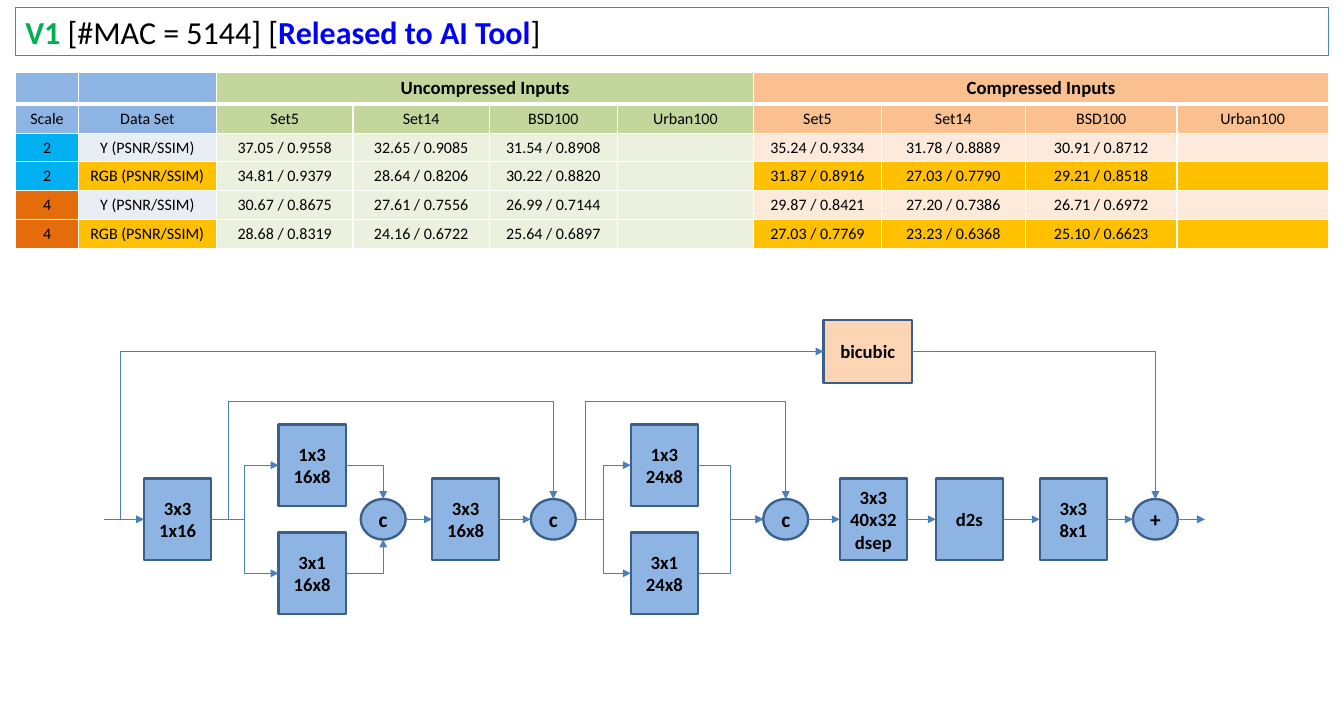
from lxml.etree import SubElement
from pptx import Presentation
from pptx.dml.color import RGBColor
from pptx.enum.shapes import MSO_CONNECTOR, MSO_SHAPE
from pptx.enum.text import MSO_ANCHOR, PP_ALIGN
from pptx.oxml.ns import qn
from pptx.util import Cm, Pt

BLACK = RGBColor(0x00, 0x00, 0x00)
GREEN = RGBColor(0x00, 0xB0, 0x50)
PURE_BLUE = RGBColor(0x00, 0x00, 0xFF)
FRAME_BLUE = RGBColor(0x4F, 0x81, 0xBD)
WIRE_BLUE = RGBColor(0x4B, 0x7E, 0xBC)
EDGE_BLUE = RGBColor(0x3A, 0x5F, 0x8C)
BLOCK_BLUE = RGBColor(0x8E, 0xB4, 0xE3)
PEACH = RGBColor(0xFC, 0xD5, 0xB5)
OLIVE = RGBColor(0xC3, 0xD6, 0x9B)
PALE_OLIVE = RGBColor(0xEB, 0xF1, 0xDE)
ORANGE = RGBColor(0xFA, 0xC0, 0x90)
PALE_ORANGE = RGBColor(0xFD, 0xEA, 0xDA)
PALE_BLUE = RGBColor(0xE9, 0xED, 0xF4)
GOLD = RGBColor(0xFF, 0xC0, 0x00)
SKY = RGBColor(0x00, 0xB0, 0xF0)
RUST = RGBColor(0xE4, 0x6C, 0x0A)

SIDES = {"top": 0, "left": 1, "bottom": 2, "right": 3}


class Slide:
    """Holds the style and the current slide."""

    font = "Calibri"

    def __init__(self, deck):
        """Add a blank page to the deck."""
        self.page = deck.slides.add_slide(deck.slide_layouts[6])

    def style(self, span, size, color=BLACK, bold=False):
        """Format one run."""
        span.font.name, span.font.size = self.font, Pt(size)
        span.font.color.rgb, span.font.bold = color, bold

    def center(self, text_frame, size, bold):
        """Centre and format all the text of a frame."""
        for para in text_frame.paragraphs:
            para.alignment = PP_ALIGN.CENTER
            for span in para.runs:
                self.style(span, size, bold=bold)

    def title(self, left, top, width, height, parts):
        """Add a framed line of text from (text, colour, bold) parts."""
        box = self.page.shapes.add_textbox(Cm(left), Cm(top), Cm(width), Cm(height))
        box.text_frame.word_wrap = True
        box.line.color.rgb, box.line.width = FRAME_BLUE, Pt(0.75)
        for text, color, bold in parts:
            span = box.text_frame.paragraphs[0].add_run()
            span.text = text
            self.style(span, 24, color, bold)

    def node(self, x, y, text, size=(1.78, 2.16), fill=BLOCK_BLUE,
             kind=MSO_SHAPE.RECTANGLE, points=14):
        """Add a labelled shape centred on x, y."""
        width, height = size
        box = self.page.shapes.add_shape(kind, Cm(x - width / 2), Cm(y - height / 2),
                                         Cm(width), Cm(height))
        box.shadow.inherit = False
        box.fill.solid()
        box.fill.fore_color.rgb = fill
        box.line.color.rgb, box.line.width = EDGE_BLUE, Pt(1.75)
        box.text_frame.text = text
        box.text_frame.vertical_anchor = MSO_ANCHOR.MIDDLE
        self.center(box.text_frame, points, True)
        return box

    def joint(self, x, y, text):
        """Add a small circle where paths meet."""
        return self.node(x, y, text, (1.19, 1.07), kind=MSO_SHAPE.OVAL, points=16)

    def arrow(self, start=(0, 0), finish=(0, 0), kind=MSO_CONNECTOR.STRAIGHT):
        """Add a connector with an arrowhead at its end."""
        wire = self.page.shapes.add_connector(kind, *map(Cm, start + finish))
        wire.line.color.rgb, wire.line.width = WIRE_BLUE, Pt(0.75)
        SubElement(wire.line._get_or_add_ln(), qn("a:tailEnd"), type="triangle")
        SubElement(wire._element.spPr, qn("a:effectLst"))
        return wire

    def link(self, source, target, leave="right", enter="left", preset=None, bend=()):
        """Join two nodes; bend gives the x and y of the turns."""
        wire = self.arrow(kind=MSO_CONNECTOR.ELBOW if preset else MSO_CONNECTOR.STRAIGHT)
        wire.begin_connect(source, SIDES[leave])
        wire.end_connect(target, SIDES[enter])
        for tag, node, side in (("a:stCxn", source, leave), ("a:endCxn", target, enter)):
            step = 2 if node.auto_shape_type == MSO_SHAPE.OVAL else 1
            next(wire._element.iter(qn(tag))).set("idx", str(SIDES[side] * step))
        if preset:
            geometry = wire._element.spPr.find(qn("a:prstGeom"))
            geometry.set("prst", preset)
            spans = ((wire.begin_x, wire.end_x), (wire.begin_y, wire.end_y))
            for number, (turn, (first, last)) in enumerate(zip(bend, spans), 1):
                share = round((Cm(turn) - first) / (last - first) * 100000)
                SubElement(geometry.find(qn("a:avLst")), qn("a:gd"),
                           name=f"adj{number}", fmla=f"val {share}")

    def cell(self, cell, text, fill, size=12, bold=False, top=1, bottom=1):
        """Fill one table cell and draw its white borders."""
        cell.text_frame.text = text
        cell.vertical_anchor = MSO_ANCHOR.MIDDLE
        self.center(cell.text_frame, size, bold)
        if not text:
            SubElement(cell.text_frame.paragraphs[0]._p, qn("a:endParaRPr"), sz=str(size * 100))
        properties = cell._tc.get_or_add_tcPr()
        for side, points in (("L", 1), ("R", 1), ("T", top), ("B", bottom)):
            line = SubElement(properties, qn(f"a:ln{side}"), w=str(Pt(points)))
            SubElement(SubElement(line, qn("a:solidFill")), qn("a:srgbClr"), val="FFFFFF")
        cell.fill.solid()
        cell.fill.fore_color.rgb = fill

    def table(self, left, top, widths, height, rows, fills):
        """Add the results table with a heading over each group of four columns."""
        grid = self.page.shapes.add_table(len(rows), len(widths), Cm(left), Cm(top),
                                          Cm(sum(widths)), Cm(height * len(rows))).table
        for column, width in zip(grid.columns, widths):
            column.width = Cm(width)
        for r, (texts, colors) in enumerate(zip(rows, fills)):
            for c, (text, color) in enumerate(zip(texts, colors)):
                self.cell(grid.cell(r, c), text, color, 14 if r == 0 else 12, r == 0,
                          top=3 if r == 1 else 1, bottom=3 if r == 0 else 1)
        for c in (2, 6):
            grid.cell(0, c).merge(grid.cell(0, c + 3))


deck = Presentation()
deck.slide_width, deck.slide_height = Cm(35.56), Cm(19.05)
slide = Slide(deck)

slide.title(0.42, 0.21, 34.72, 1.27, [
    ("V1", GREEN, True), (" [#MAC = 5144] [", BLACK, False),
    ("Released to AI Tool", PURE_BLUE, True), ("]", BLACK, False)])

# Results table
sets = ["Set5", "Set14", "BSD100", "Urban100"]
rows = [
    ["", "", "Uncompressed Inputs", "", "", "", "Compressed Inputs", "", "", ""],
    ["Scale", "Data Set"] + sets * 2,
    ["2", "Y (PSNR/SSIM)", "37.05 / 0.9558", "32.65 / 0.9085", "31.54 / 0.8908", "",
     "35.24 / 0.9334", "31.78 / 0.8889", "30.91 / 0.8712", ""],
    ["2", "RGB (PSNR/SSIM)", "34.81 / 0.9379", "28.64 / 0.8206", "30.22 / 0.8820", "",
     "31.87 / 0.8916", "27.03 / 0.7790", "29.21 / 0.8518", ""],
    ["4", "Y (PSNR/SSIM)", "30.67 / 0.8675", "27.61 / 0.7556", "26.99 / 0.7144", "",
     "29.87 / 0.8421", "27.20 / 0.7386", "26.71 / 0.6972", ""],
    ["4", "RGB (PSNR/SSIM)", "28.68 / 0.8319", "24.16 / 0.6722", "25.64 / 0.6897", "",
     "27.03 / 0.7769", "23.23 / 0.6368", "25.10 / 0.6623", ""],
]
fills = [[BLOCK_BLUE] * 2 + [OLIVE] * 4 + [ORANGE] * 4] * 2
for scale_fill in (SKY, RUST):
    for name_fill, compressed_fill in ((PALE_BLUE, PALE_ORANGE), (GOLD, GOLD)):
        fills.append([scale_fill, name_fill] + [PALE_OLIVE] * 4 + [compressed_fill] * 4)
widths = [1.65, 3.66, 3.61, 3.61, 3.38, 3.61, 3.38, 3.81, 4.01, 4.01]
slide.table(0.42, 1.91, widths, 0.64, rows, fills)

# Network diagram
LANE, BRANCH, SKIP = 13.74, 1.43, 10.63
ELBOW, CORNER, BRIDGE = "bentConnector3", "bentConnector2", "bentConnector4"

entry = slide.node(4.7, LANE, "3x3\n1x16")
first_pair = [slide.node(8.26, LANE - BRANCH, "1x3\n16x8"),
              slide.node(8.26, LANE + BRANCH, "3x1\n16x8")]
first_join = slide.joint(10.14, LANE, "c")
middle = slide.node(12.32, LANE, "3x3\n16x8")
second_join = slide.joint(14.64, LANE, "c")
second_pair = [slide.node(17.58, LANE - BRANCH, "1x3\n24x8"),
               slide.node(17.58, LANE + BRANCH, "3x1\n24x8")]
third_join = slide.joint(20.79, LANE, "c")
separable = slide.node(23.11, LANE, "3x3\n40x32\ndsep")
depth_to_space = slide.node(25.65, LANE, "d2s")
last = slide.node(28.4, LANE, "3x3\n8x1")
total = slide.joint(30.57, LANE, "+")
bicubic = slide.node(22.96, 9.3, "bicubic", (2.34, 1.68), PEACH)

for block, side in zip(first_pair, ("top", "bottom")):
    slide.link(entry, block, preset=ELBOW)
    slide.link(block, first_join, enter=side, preset=CORNER)
for block in second_pair:
    slide.link(second_join, block, preset=ELBOW)
    slide.link(block, third_join, preset=ELBOW)
for chain in ((first_join, middle, second_join),
              (third_join, separable, depth_to_space, last, total)):
    for source, target in zip(chain, chain[1:]):
        slide.link(source, target)

slide.link(entry, second_join, enter="top", preset=BRIDGE, bend=(6.05, SKIP))
slide.link(second_join, third_join, enter="top", preset=BRIDGE, bend=(15.49, SKIP))
slide.link(entry, bicubic, leave="left", preset=ELBOW, bend=(3.18,))
slide.link(bicubic, total, enter="top", preset=CORNER)
slide.arrow((2.74, LANE), (3.81, LANE))
slide.arrow((31.17, LANE), (31.88, LANE))

deck.save("out.pptx")
